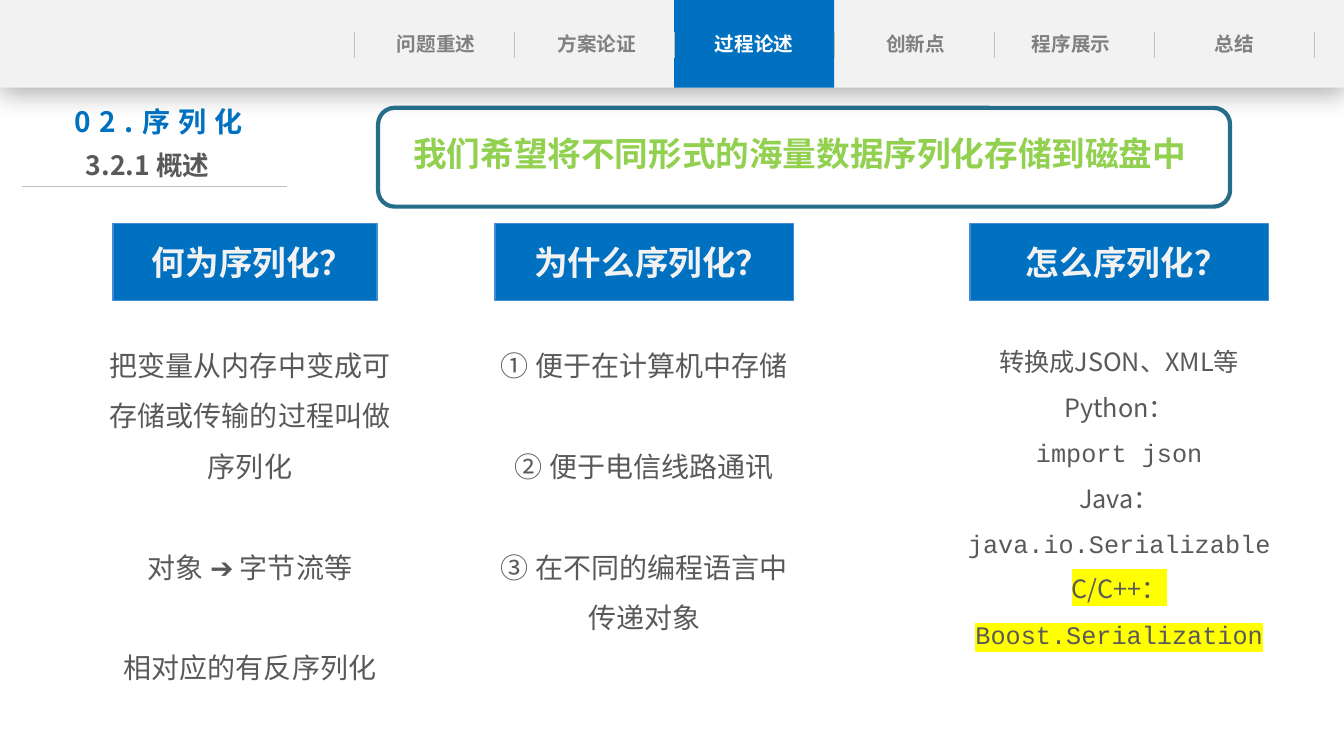
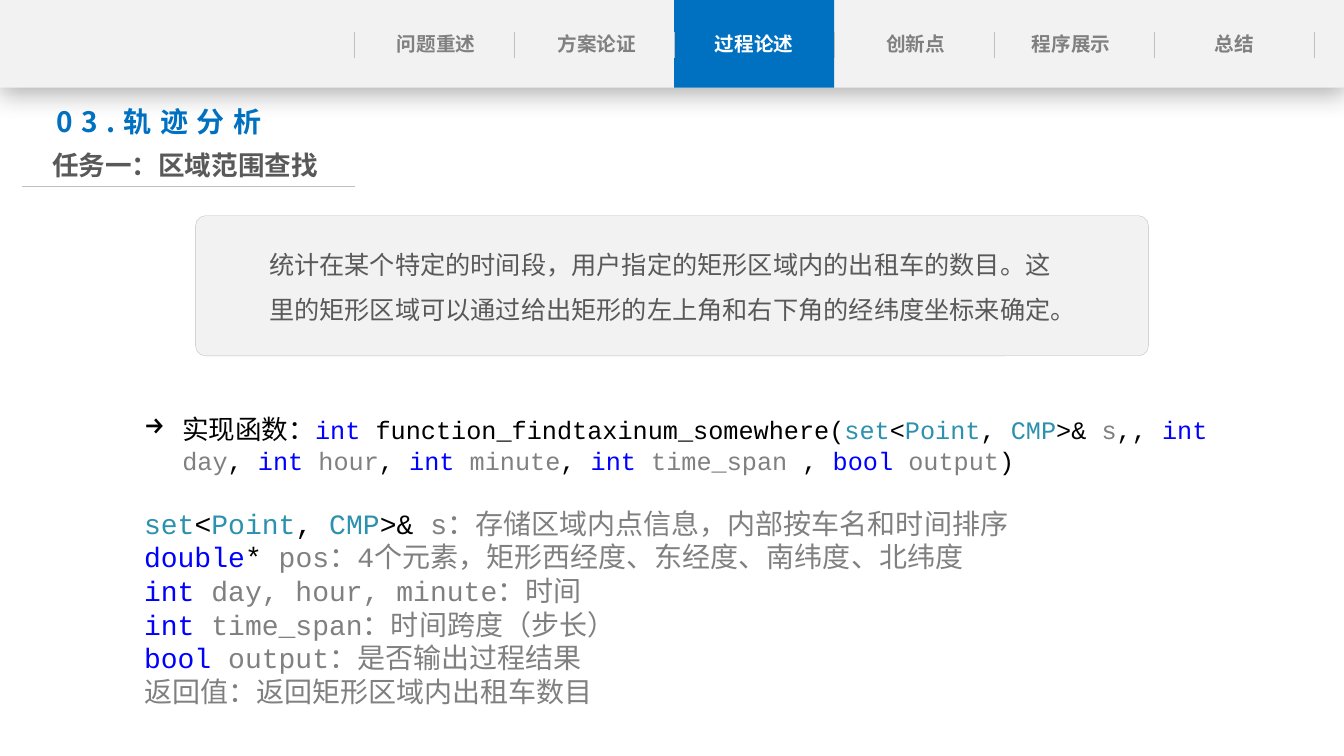
from lxml import etree
from pptx import Presentation
from pptx.dml.color import RGBColor
from pptx.enum.shapes import MSO_CONNECTOR, MSO_SHAPE
from pptx.enum.text import MSO_ANCHOR, MSO_AUTO_SIZE, PP_ALIGN
from pptx.oxml import parse_xml
from pptx.oxml.ns import nsdecls, qn
from pptx.util import Pt

PX = 9144  # EMU per px, 100 px to the inch
SANS, MONO = "Noto Sans CJK SC", "Courier New"
COLORS = {
    "blue": "0070C0", "blue_edge": "448AD7", "band": "F2F2F2", "rule": "BFBFBF",
    "tab": "808080", "white": "FFFFFF", "text": "595959", "lime": "92D050",
    "teal": "266D8A", "mark": "FFFF00",
    "plain": "000000", "keyword": "0000FF", "type": "2B91AF", "arg": "808080",
}

# Shared navigation: label, left, width
TABS = [("问题重述", 359, 147), ("方案论证", 538, 108), ("过程论述", 668, 160),
        ("创新点", 859, 98), ("程序展示", 1018, 89), ("总结", 1151, 147)]
ACTIVE_TAB = "过程论述"
NAV_LEFT, NAV_RIGHT, BAND_H = 351, 1304, 87

# Slide 1: a paragraph is (paragraph format, runs), a run is text or (text, format)
GOAL = "我们希望将不同形式的海量数据序列化存储到磁盘中"
GAP = {"space_before": Pt(36)}
CODE, MARK = {"name": MONO}, {"mark": "mark"}
COLUMNS = [
    {"head": "何为序列化？", "head_box": (112, 262), "left": 96, "size": 20, "paras": [
        ({}, ["把变量从内存中变成可存储或传输的过程叫做序列化"]),
        (GAP, ["对象 ➔ 字节流等"]),
        (GAP, ["相对应的有反序列化"])]},
    {"head": "为什么序列化？", "head_box": (491, 296), "left": 487, "size": 20, "paras": [
        ({}, ["① 便于在计算机中存储"]),
        (GAP, ["② 便于电信线路通讯"]),
        (GAP, ["③ 在不同的编程语言中传递对象"])]},
    {"head": "怎么序列化？", "head_box": (962, 296), "left": 958, "size": 18, "paras": [
        ({}, ["转换成JSON、XML等"]),
        ({}, ["Python："]),
        ({}, [("import json", CODE)]),
        ({}, ["Java：", ("java.io.Serializable", CODE)]),
        ({}, [("C/C++：", MARK), ("Boost.Serialization", {**CODE, **MARK})])]},
]

# Slide 2: code is a list of (kind, text)
TASK = ("统计在某个特定的时间段，用户指定的矩形区域内的出租车的数目。"
        "这里的矩形区域可以通过给出矩形的左上角和右下角的经纬度坐标来确定。")
POINT_SET = [("type", "set"), ("plain", "<"), ("type", "Point"), ("plain", ", "),
             ("type", "CMP"), ("plain", ">& ")]
SIGNATURE = [
    ("plain", "function_findtaxinum_somewhere("), *POINT_SET, ("arg", "s"), ("plain", ",, "),
    ("keyword", "int "), ("arg", "day"), ("plain", ", "),
    ("keyword", "int "), ("arg", "hour"), ("plain", ", "),
    ("keyword", "int "), ("arg", "minute"), ("plain", ", "),
    ("keyword", "int "), ("arg", "time_span"), ("plain", " , "),
    ("keyword", "bool "), ("arg", "output"), ("plain", ")"),
]
PARAMS = [
    [*POINT_SET, ("arg", "s：存储区域内点信息，内部按车名和时间排序")],
    [("keyword", "double"), ("plain", "* "),
     ("arg", "pos：4个元素，矩形西经度、东经度、南纬度、北纬度")],
    [("keyword", "int "), ("arg", "day, hour, minute：时间")],
    [("keyword", "int "), ("arg", "time_span：时间跨度（步长）")],
    [("keyword", "bool "), ("arg", "output：是否输出过程结果")],
    [("arg", "返回值：返回矩形区域内出租车数目")],
]


def rgb(key):
    return RGBColor.from_string(COLORS[key])


def px(*values):
    return [round(v * PX) for v in values]


def style_run(r, fmt):
    fmt = {"name": SANS, **fmt}
    r.font.color.rgb = rgb(fmt.pop("color"))
    mark, spacing = fmt.pop("mark", None), fmt.pop("spacing", None)
    fmt["size"] = Pt(fmt["size"])
    for key, value in fmt.items():
        setattr(r.font, key, value)
    rPr = r._r.get_or_add_rPr()
    rPr.set("lang", "zh-CN")
    if spacing:
        rPr.set("spc", str(spacing * 100))
    if mark:
        rPr.find(qn("a:solidFill")).addnext(parse_xml(
            f'<a:highlight {nsdecls("a")}><a:srgbClr val="{COLORS[mark]}"/></a:highlight>'))
    ea = etree.Element(qn("a:ea"), typeface=SANS)
    rPr.find(qn("a:latin")).addnext(ea)


def write(tf, paras, para_fmt=None, **run_fmt):
    """Fill a text frame; a plain string counts as one paragraph."""
    if isinstance(paras, str):
        paras = [({}, [paras])]
    for i, (fmt, runs) in enumerate(paras):
        p = tf.paragraphs[0] if i == 0 else tf.add_paragraph()
        for key, value in {**(para_fmt or {}), **fmt}.items():
            setattr(p, key, value)
        for run in runs:
            text, own = (run, {}) if isinstance(run, str) else run
            r = p.add_run()
            r.text = text
            style_run(r, {**run_fmt, **own})


def set_frame(tf, margins=(10, 5, 10, 5), anchor=MSO_ANCHOR.TOP):
    tf.word_wrap, tf.auto_size, tf.vertical_anchor = True, MSO_AUTO_SIZE.NONE, anchor
    for side, value in zip(("left", "top", "right", "bottom"), px(*margins)):
        setattr(tf, f"margin_{side}", value)


def add_text(s, box, paras, para_fmt=None, margins=(10, 5, 10, 5), **run_fmt):
    tf = s.shapes.add_textbox(*px(*box)).text_frame
    set_frame(tf, margins)
    write(tf, paras, para_fmt, **run_fmt)
    return tf


def add_box(s, box, fill=None, line=None, width=1, kind=MSO_SHAPE.RECTANGLE):
    sp = s.shapes.add_shape(kind, *px(*box))
    sp.shadow.inherit = False
    if fill:
        sp.fill.solid()
        sp.fill.fore_color.rgb = rgb(fill)
    else:
        sp.fill.background()
    if line:
        sp.line.color.rgb, sp.line.width = rgb(line), Pt(width)
    else:
        sp.line.fill.background()
    return sp


def add_rule(s, *ends):
    ln = s.shapes.add_connector(MSO_CONNECTOR.STRAIGHT, *px(*ends))
    ln.line.color.rgb, ln.line.width = rgb("rule"), Pt(0.5)
    etree.SubElement(ln.element.spPr, qn("a:effectLst"))


CENTER = {"alignment": PP_ALIGN.CENTER}


def build_navigation(s, layout):
    """Draw the navigation band and move it into the shared layout."""
    for ph in list(layout.placeholders):
        if ph.placeholder_format.idx:
            ph.element.getparent().remove(ph.element)
    first = len(s.shapes)
    step = (NAV_RIGHT - NAV_LEFT) / len(TABS)
    band = add_box(s, (0, 0, 1333, BAND_H), "band")
    band.element.spPr.find(qn("a:effectLst")).append(parse_xml(
        f'<a:outerShdw {nsdecls("a")} blurRad="{Pt(18)}" dist="{Pt(4)}" dir="5400000" '
        'algn="t" rotWithShape="0"><a:srgbClr val="000000"><a:alpha val="29000"/>'
        '</a:srgbClr></a:outerShdw>'))
    active = [label for label, _, _ in TABS].index(ACTIVE_TAB)
    add_box(s, (NAV_LEFT + active * step, 0, step, BAND_H), "blue")
    for label, left, width in TABS:
        add_text(s, (left, 27, width, 34), label, CENTER, (0, 5, 0, 5), size=14, bold=True,
                 color="white" if label == ACTIVE_TAB else "tab")
    for i in range(len(TABS) + 1):
        x = NAV_LEFT + i * step
        add_rule(s, x, 32, x, 58)
    for sp in list(s.shapes)[first:]:
        layout.shapes.element.append(sp.element)


def add_heading(s, title, subtitle, sub_width, rule_right):
    sp = s.shapes.title
    sp.left, sp.top, sp.width, sp.height = px(-37, 99, 389, 44)
    set_frame(sp.text_frame)
    write(sp.text_frame, title, CENTER, size=20, bold=True, color="blue", spacing=6)
    add_rule(s, 22, 185, rule_right, 185)
    add_text(s, (43, 143, sub_width, 42), subtitle, CENTER, (0, 5, 0, 5),
             size=19, bold=True, color="text")


def build_serialization(s):
    add_heading(s, "02.序列化", "3.2.1 概述", 207, 285)
    # Question columns
    for col in COLUMNS:
        left, width = col["head_box"]
        tf = add_box(s, (left, 222, width, 76), "blue", "blue_edge").text_frame
        set_frame(tf, (25, 5, 10, 5), MSO_ANCHOR.MIDDLE)
        write(tf, col["head"], CENTER, size=24, bold=True, color="band")
        add_text(s, (col["left"], 329, 304, 347), col["paras"],
                 {**CENTER, "line_spacing": 1.5}, (0, 0, 0, 0),
                 size=col["size"], color="text")
    # Goal banner
    add_text(s, (400, 127, 810, 50), GOAL, size=24, bold=True, color="lime")
    add_box(s, (375, 107, 845, 98), None, "teal", 3, MSO_SHAPE.ROUNDED_RECTANGLE)


def code_runs(tokens, size):
    return [(text, {"color": kind, "name": MONO, "size": size}) for kind, text in tokens]


def build_trajectory(s):
    add_heading(s, "03.轨迹分析", "任务一：区域范围查找", 281, 352)
    # Task panel
    panel = add_box(s, (194, 214, 945, 139), "band", "rule", 0.25, MSO_SHAPE.ROUNDED_RECTANGLE)
    panel.adjustments[0] = 0.07
    add_text(s, (257, 227, 815, 96), TASK, {"line_spacing": 1.5}, size=18, color="text")
    # Function signature and parameters
    lead = ("实现函数：", {"color": "plain", "size": 19})
    paras = [({}, [lead, *code_runs([("keyword", "int "), *SIGNATURE], 18)])]
    for i, tokens in enumerate(PARAMS):
        paras.append(({} if i else {"space_before": Pt(22)}, code_runs(tokens, 20)))
    tf = add_text(s, (133, 405, 1109, 305), paras)
    pPr = tf.paragraphs[0]._p.get_or_add_pPr()
    indent = 38 * PX
    pPr.set("marL", str(indent))
    pPr.set("indent", str(-indent))
    etree.SubElement(pPr, qn("a:buChar"), char="→")


def main():
    prs = Presentation()
    prs.slide_width, prs.slide_height = px(1333, 750)
    layout = prs.slide_layouts[5]
    for i, build in enumerate((build_serialization, build_trajectory)):
        s = prs.slides.add_slide(layout)
        if i == 0:
            build_navigation(s, layout)
        build(s)
    prs.save("out.pptx")


if __name__ == "__main__":
    main()
